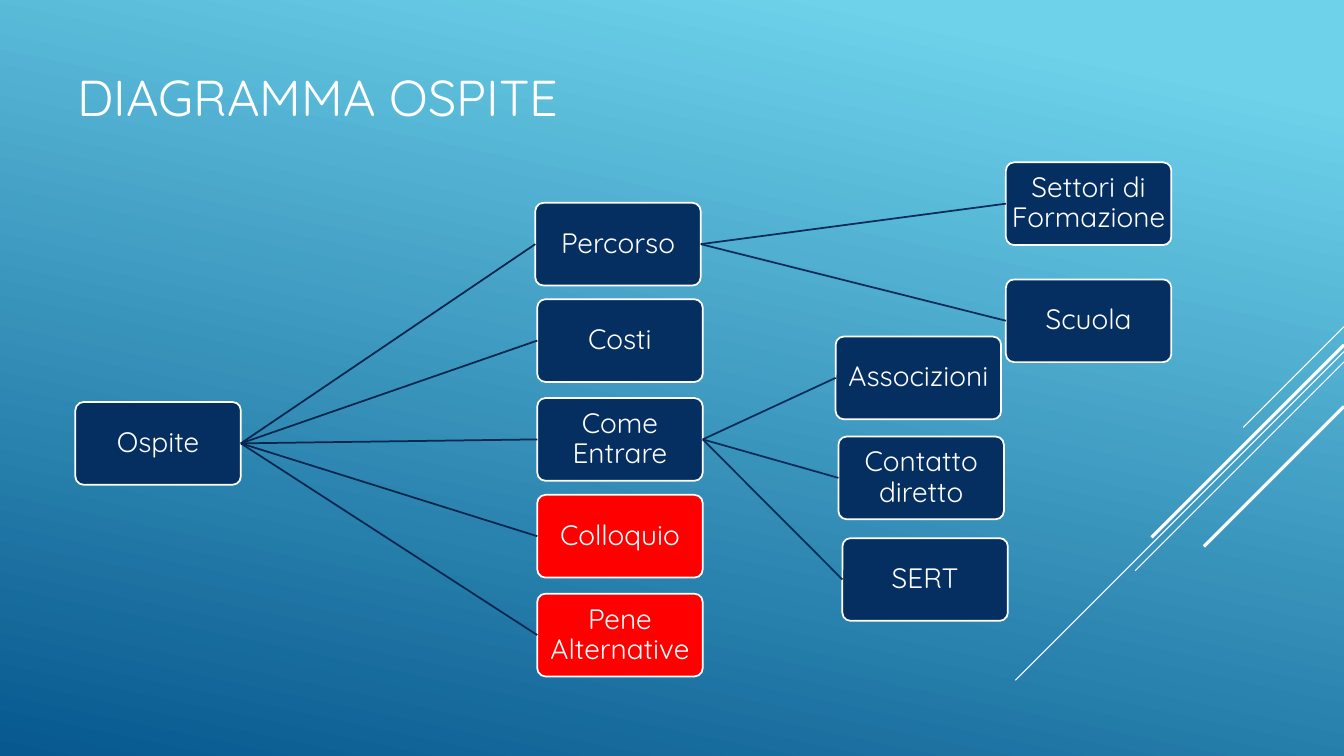
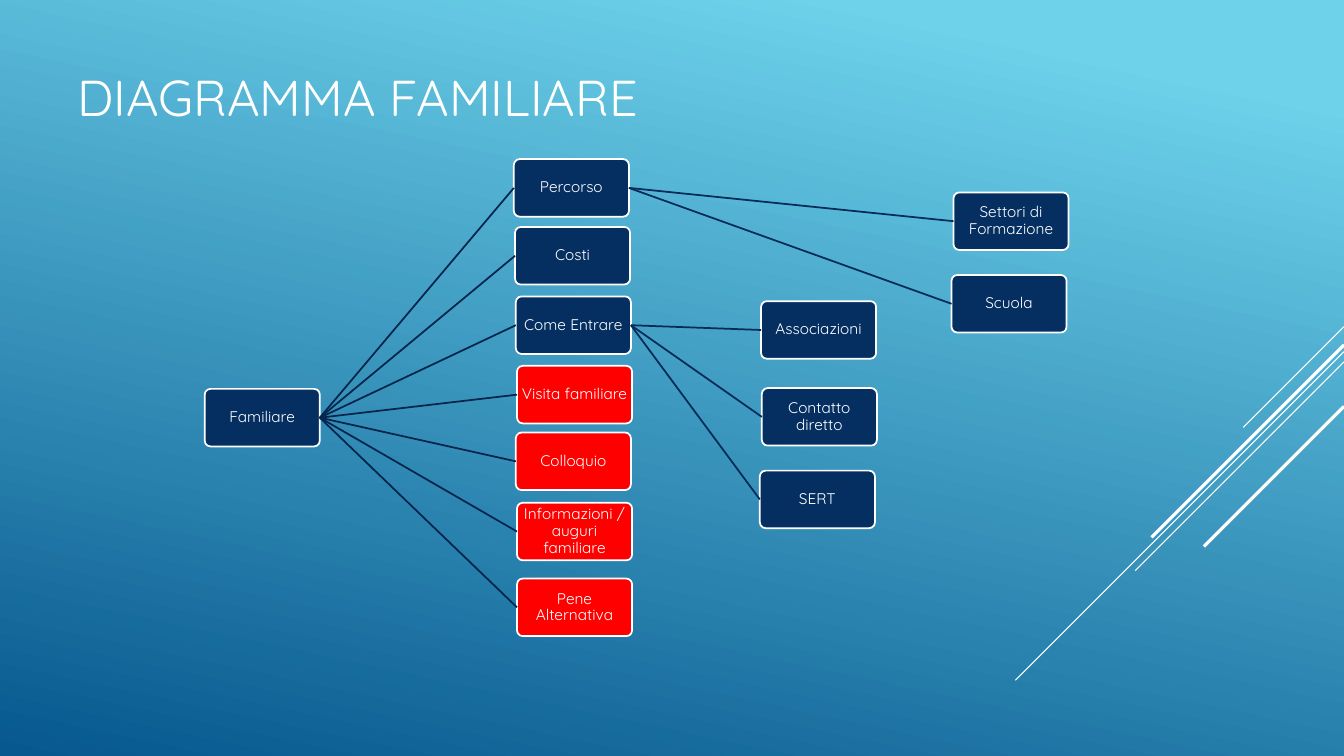
from dataclasses import dataclass

from lxml import etree
from pptx import Presentation
from pptx import util as u
from pptx.dml.color import RGBColor
from pptx.enum import shapes, text
from pptx.oxml.ns import qn

# Shared look
WHITE = RGBColor(0xFF, 0xFF, 0xFF)
NAVY = RGBColor(0x05, 0x2F, 0x61)
RED = RGBColor(0xFF, 0x00, 0x00)
SKY = RGBColor(0x6E, 0xD2, 0xEB)
DEEP = RGBColor(0x06, 0x58, 0x8E)
LINKS = (RGBColor(0x04, 0x26, 0x4E), RGBColor(0x05, 0x2B, 0x58))  # by level
FONT = "Quicksand"
WIDTH, HEIGHT = 33.87, 19.05
EDGE = 1.25


@dataclass(frozen=True)
class Ray:
    """A 45 degree line going down and left from the right edge."""
    top: float
    run: float
    weight: float


@dataclass(frozen=True)
class Node:
    label: str
    left: float
    top: float
    fill: RGBColor = NAVY
    kids: tuple["Node", ...] = ()


@dataclass(frozen=True)
class Chart:
    title: str
    wide: float
    size: float
    root: Node


RAYS = (
    Ray(8.23, 2.54, 0.75),
    Ray(8.86, 8.28, 0.75),
    Ray(9.12, 5.26, 0.75),
    Ray(8.69, 4.85, 2.25),
    Ray(10.24, 3.53, 2.25),
)

# Content
GUEST = Node("Ospite", 1.9, 10.13, kids=(
    Node("Percorso", 13.49, 5.11, kids=(
        Node("Settori di Formazione", 25.35, 4.09),
        Node("Scuola", 25.35, 7.04),
    )),
    Node("Costi", 13.54, 7.54),
    Node("Come Entrare", 13.54, 10.03, kids=(
        Node("Associzioni", 21.06, 8.48),
        Node("Contatto diretto", 21.13, 11),
        Node("SERT", 21.23, 13.56),
    )),
    Node("Colloquio", 13.54, 12.47, RED),
    Node("Pene Alternative", 13.54, 14.96, RED),
))

FAMILY = Node("Familiare", 5.16, 9.8, kids=(
    Node("Percorso", 12.95, 4.01, kids=(
        Node("Settori di Formazione", 24.03, 4.85),
        Node("Scuola", 23.98, 6.93),
    )),
    Node("Costi", 12.98, 5.72),
    Node("Come Entrare", 13, 7.47, kids=(
        Node("Associazioni", 19.18, 7.59),
        Node("Contatto diretto", 19.2, 9.78),
        Node("SERT", 19.15, 11.86),
    )),
    Node("Visita familiare", 13.03, 9.22, RED),
    Node("Colloquio", 13, 10.9, RED),
    Node("Informazioni / auguri\vfamiliare", 13.03, 12.67, RED),
    Node("Pene Alternativa", 13.03, 14.58, RED),
))

CHARTS = (
    Chart("DIAGRAMMA OSPITE", 4.17, 20, GUEST),
    Chart("DIAGRAMMA FAMILIARE", 2.9, 11, FAMILY),
)


def write(shape, words: str, *, size: float, align=text.PP_ALIGN.LEFT,
          lead: float = 1.0, inset: float = 0.25) -> None:
    frame = shape.text_frame
    frame.word_wrap = True
    frame.vertical_anchor = text.MSO_ANCHOR.MIDDLE
    frame.margin_left = frame.margin_right = u.Cm(inset)
    frame.margin_top = frame.margin_bottom = u.Cm(min(inset, 0.13))
    para = frame.paragraphs[0]
    para.text = words
    para.alignment = align
    para.line_spacing = lead
    para.font.name = FONT
    para.font.size = u.Pt(size)
    para.font.color.rgb = WHITE


def rule(slide, start: tuple[float, float], end: tuple[float, float],
         color: RGBColor, weight: float):
    line = slide.shapes.add_connector(
        shapes.MSO_CONNECTOR.STRAIGHT, *(u.Cm(n) for n in start + end))
    line.line.color.rgb = color
    line.line.width = u.Pt(weight)
    etree.SubElement(line._element.spPr, qn("a:effectLst"))
    return line


def box(slide, node: Node, wide: float, size: float):
    shape = slide.shapes.add_shape(
        shapes.MSO_SHAPE.ROUNDED_RECTANGLE, u.Cm(node.left), u.Cm(node.top),
        u.Cm(wide), u.Cm(wide / 2))
    shape.adjustments[0] = 0.1
    shape.shadow.inherit = False
    shape.fill.solid()
    shape.fill.fore_color.rgb = node.fill
    shape.line.color.rgb = WHITE
    shape.line.width = u.Pt(EDGE)
    write(shape, node.label, size=size, align=text.PP_ALIGN.CENTER,
          lead=0.9, inset=0.03)
    return shape


def tree(slide, node: Node, wide: float, size: float, level: int = 0):
    """Draw a node, then its branches joined right side to left side."""
    shape = box(slide, node, wide, size)
    for kid in node.kids:
        child = tree(slide, kid, wide, size, level + 1)
        link = rule(slide, (node.left + wide, node.top + wide / 4),
                    (kid.left, kid.top + wide / 4), LINKS[level], EDGE)
        link.begin_connect(shape, 3)
        link.end_connect(child, 1)
    return shape


def backdrop(deck) -> None:
    fill = deck.slide_master.background.fill
    fill.gradient()
    fill.gradient_angle = 258
    for stop, place, color in zip(fill.gradient_stops, (0.1, 1), (SKY, DEEP)):
        stop.position = place
        stop.color.rgb = color


def page(deck, chart: Chart) -> None:
    slide = deck.slides.add_slide(deck.slide_layouts[6])
    # Rays at the right edge
    for ray in RAYS:
        rule(slide, (WIDTH, ray.top), (WIDTH - ray.run, ray.top + ray.run),
             WHITE, ray.weight)
    # Title
    head = slide.shapes.add_textbox(
        u.Cm(1.7), u.Cm(1.07), u.Cm(23.7), u.Cm(2.72))
    write(head, chart.title, size=36)
    # Diagram
    tree(slide, chart.root, chart.wide, chart.size)


def main() -> None:
    deck = Presentation()
    deck.slide_width, deck.slide_height = u.Cm(WIDTH), u.Cm(HEIGHT)
    backdrop(deck)
    for chart in CHARTS:
        page(deck, chart)
    deck.save("out.pptx")


if __name__ == "__main__":
    main()
